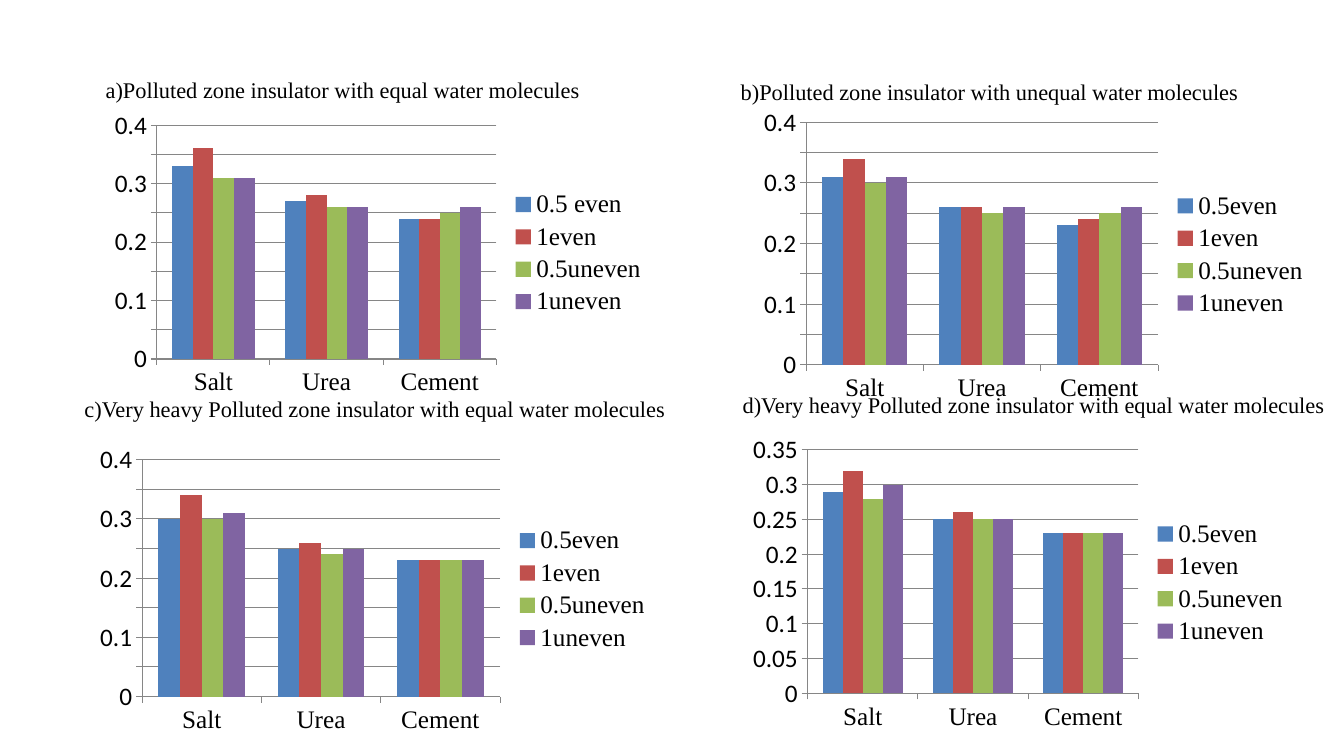
from pptx import Presentation
from pptx.chart.data import CategoryChartData
from pptx.dml.color import RGBColor
from pptx.enum.chart import XL_CHART_TYPE, XL_LEGEND_POSITION, XL_TICK_MARK
from pptx.enum.text import MSO_AUTO_SIZE
from pptx.util import Pt

SERIF, SANS = "Times New Roman", "Calibri"
BLACK, AXIS_GREY = "000000", "868686"
CATEGORIES = ["Salt", "Urea", "Cement"]
SERIES_COLORS = ["4F81BD", "C0504D", "9BBB59", "8064A2"]
NAMES = ["0.5even", "1even", "0.5uneven", "1uneven"]
TITLE_HEIGHT = 26.6

# Boxes are left, top, width, height; title boxes are left, top, width.
PANELS = [
    {"title": "a)Polluted zone insulator with equal water molecules",
     "title_box": (68.4, 51.1, 362.2), "chart_box": (74.2, 74.2, 395.3, 213.1),
     "names": ["0.5 even"] + NAMES[1:], "top": 0.4,
     "values": [(0.33, 0.27, 0.24), (0.36, 0.28, 0.24),
                (0.31, 0.26, 0.25), (0.31, 0.26, 0.26)]},
    {"title": "b)Polluted zone insulator with unequal water molecules",
     "title_box": (522, 52.6, 380.2), "chart_box": (537.8, 72, 404.6, 219.6),
     "names": NAMES, "top": 0.4,
     "values": [(0.31, 0.26, 0.23), (0.34, 0.26, 0.24),
                (0.3, 0.25, 0.25), (0.31, 0.26, 0.26)]},
    {"title": "c)Very heavy Polluted zone insulator with equal water molecules",
     "title_box": (53.3, 278.6, 437), "chart_box": (63.4, 313.2, 409, 215.3),
     "names": NAMES, "top": 0.4,
     "values": [(0.3, 0.25, 0.23), (0.34, 0.26, 0.23),
                (0.3, 0.24, 0.23), (0.31, 0.25, 0.23)]},
    {"title": "d)Very heavy Polluted zone insulator with equal water molecules",
     "title_box": (523.4, 275.8, 437), "chart_box": (529.9, 306, 398.2, 220.3),
     "names": NAMES, "top": 0.35,
     "values": [(0.29, 0.25, 0.23), (0.32, 0.26, 0.23),
                (0.28, 0.25, 0.23), (0.3, 0.25, 0.23)]},
]


def rgb(value):
    return RGBColor.from_string(value)


def set_attrs(obj, **values):
    for name, value in values.items():
        setattr(obj, name, value)


def set_font(font, name, size):
    set_attrs(font, name=name, size=Pt(size), bold=False)
    font.color.rgb = rgb(BLACK)


def set_line(fmt):
    fmt.line.width = Pt(0.75)
    fmt.line.color.rgb = rgb(AXIS_GREY)


def add_panel_chart(slide, panel):
    data = CategoryChartData()
    data.categories = CATEGORIES
    for name, values in zip(panel["names"], panel["values"]):
        data.add_series(name, values)
    chart = slide.shapes.add_chart(
        XL_CHART_TYPE.COLUMN_CLUSTERED, *map(Pt, panel["chart_box"]), data).chart
    set_attrs(chart, has_title=False, has_legend=True)
    set_font(chart.font, SANS, 18)
    set_attrs(chart.legend, position=XL_LEGEND_POSITION.RIGHT, include_in_layout=False)
    set_font(chart.legend.font, SERIF, 18)

    plot = chart.plots[0]
    set_attrs(plot, gap_width=150, overlap=0, vary_by_categories=False)
    for series, color in zip(plot.series, SERIES_COLORS):
        series.format.fill.solid()
        series.format.fill.fore_color.rgb = rgb(color)

    for axis, font in ((chart.category_axis, SERIF), (chart.value_axis, SANS)):
        set_attrs(axis, major_tick_mark=XL_TICK_MARK.OUTSIDE,
                  minor_tick_mark=XL_TICK_MARK.NONE)
        set_font(axis.tick_labels.font, font, 18)
        set_line(axis.format)
    set_attrs(chart.value_axis, minimum_scale=0, maximum_scale=panel["top"],
              major_unit=0.05, has_major_gridlines=True)
    set_line(chart.value_axis.major_gridlines.format)


def add_panel_title(slide, panel):
    sp = slide.shapes.add_textbox(*map(Pt, (*panel["title_box"], TITLE_HEIGHT)))
    tf = sp.text_frame
    set_attrs(tf, word_wrap=False, auto_size=MSO_AUTO_SIZE.SHAPE_TO_FIT_TEXT)
    r = tf.paragraphs[0].add_run()
    r.text = panel["title"]
    set_font(r.font, SERIF, 16)


def main():
    prs = Presentation()
    set_attrs(prs, slide_width=Pt(960), slide_height=Pt(540))
    s = prs.slides.add_slide(prs.slide_layouts[6])
    for add_part in (add_panel_chart, add_panel_title):
        for panel in PANELS:
            add_part(s, panel)
    prs.save("out.pptx")


if __name__ == "__main__":
    main()
